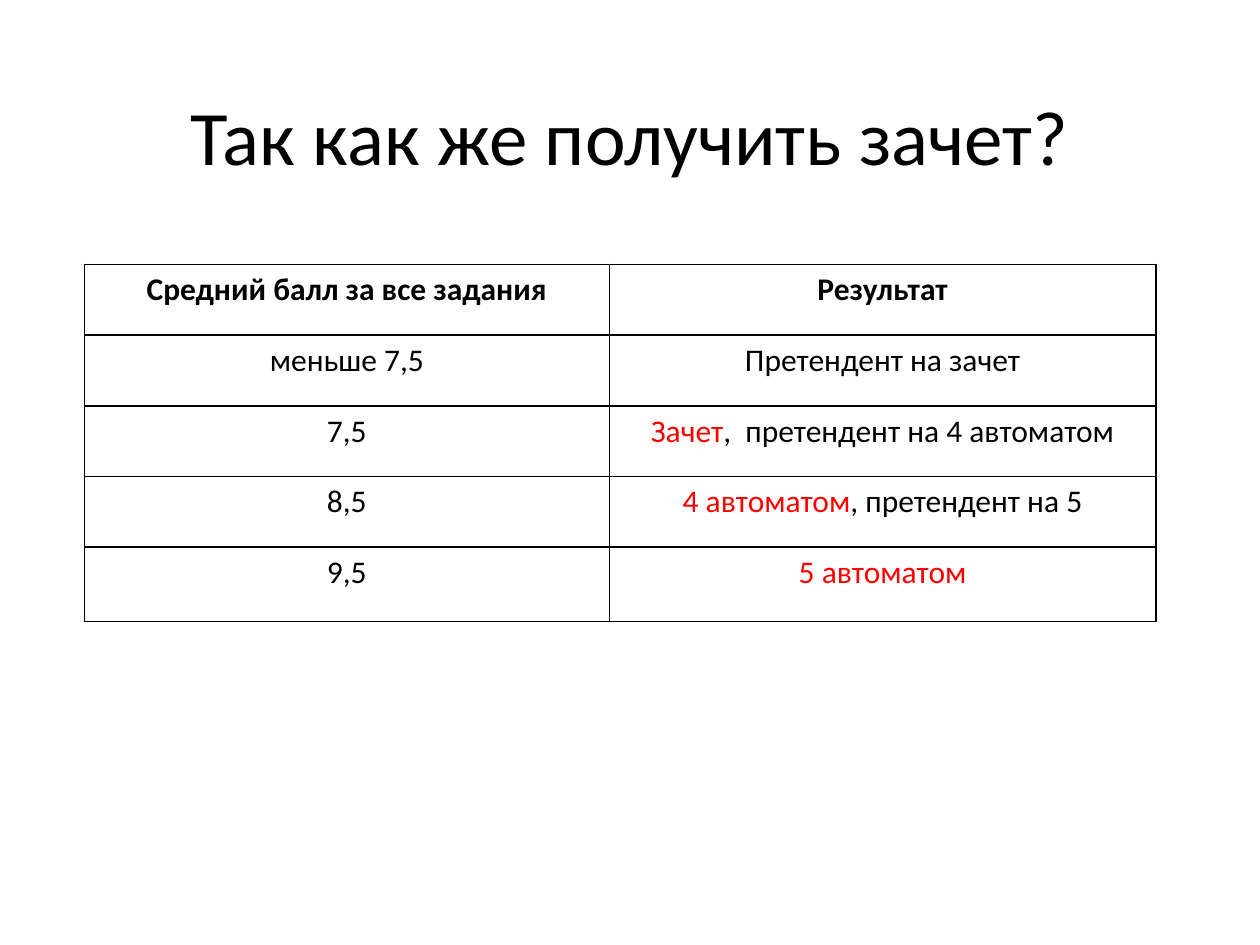
from dataclasses import dataclass

from lxml import etree
from pptx import Presentation
from pptx.dml.color import RGBColor
from pptx.enum.text import MSO_ANCHOR, PP_ALIGN
from pptx.oxml.ns import qn
from pptx.util import Cm, Pt

CENTER = PP_ALIGN.CENTER
MIDDLE = MSO_ANCHOR.MIDDLE
TITLE_ONLY = 5


@dataclass(frozen=True)
class Theme:
    """Fonts, sizes and colours of the slide."""
    font: str = "Calibri"
    title_size: int = 44
    cell_size: int = 18
    border_width: int = 1
    text: str = "000000"
    accent: str = "FF0000"
    back: str = "FFFFFF"


THEME = Theme()
TITLE = "Так как же получить зачет?"
HEADER = ("Средний балл за все задания", "Результат")
GRADES = [
    ("меньше 7,5", "", "Претендент на зачет"),
    ("7,5", "Зачет", ",  претендент на 4 автоматом"),
    ("8,5", "4 автоматом", ", претендент на 5"),
    ("9,5", "5 автоматом", ""),
]
COL_SHARES = (0.49, 0.51)
ROW_SHARES = (0.198, 0.198, 0.198, 0.198, 0.208)


def style_paragraph(p, size, bold=False):
    """Centre a paragraph and set its font."""
    p.alignment = CENTER
    p.font.name = THEME.font
    p.font.size = Pt(size)
    p.font.bold = bold
    p.font.color.rgb = RGBColor.from_string(THEME.text)


def add_borders(cell):
    """Draw a thin line on all four sides of a cell."""
    tcPr = cell._tc.get_or_add_tcPr()
    for i, side in enumerate(("a:lnL", "a:lnR", "a:lnT", "a:lnB")):
        ln = etree.Element(qn(side), w=str(Pt(THEME.border_width)))
        fill = etree.SubElement(ln, qn("a:solidFill"))
        etree.SubElement(fill, qn("a:srgbClr"), val=THEME.text)
        tcPr.insert(i, ln)


def fill_cell(cell, text, accent="", bold=False):
    """Write an optional accented lead and the text into a bordered cell."""
    cell.fill.solid()
    cell.fill.fore_color.rgb = RGBColor.from_string(THEME.back)
    add_borders(cell)
    p = cell.text_frame.paragraphs[0]
    style_paragraph(p, THEME.cell_size, bold)
    for part, color in ((accent, THEME.accent), (text, THEME.text)):
        if part:
            r = p.add_run()
            r.text = part
            r.font.bold = bold
            r.font.color.rgb = RGBColor.from_string(color)


def place_title(s, left, top, width, height):
    """Place the slide title in the given box."""
    sp = s.shapes.title
    sp.left, sp.top, sp.width, sp.height = left, top, width, height
    tf = sp.text_frame
    tf.text = TITLE
    tf.vertical_anchor = MIDDLE
    style_paragraph(tf.paragraphs[0], THEME.title_size)


def place_grades(s, left, top, width, height):
    """Place the table of averages and results in the given box."""
    table = s.shapes.add_table(
        len(GRADES) + 1, len(HEADER), left, top, width, height).table
    for col, share in zip(table.columns, COL_SHARES):
        col.width = int(width * share)
    for row, share in zip(table.rows, ROW_SHARES):
        row.height = int(height * share)
    for i, text in enumerate(HEADER):
        fill_cell(table.cell(0, i), text, bold=True)
    for i, (average, earned, pending) in enumerate(GRADES, 1):
        fill_cell(table.cell(i, 0), average)
        fill_cell(table.cell(i, 1), pending, earned)


def main():
    """Build and save the presentation."""
    prs = Presentation()
    prs.slide_width, prs.slide_height = Cm(25.4), Cm(19.05)
    s = prs.slides.add_slide(prs.slide_layouts[TITLE_ONLY])
    place_title(s, Cm(1.9), Cm(1.32), Cm(21.6), Cm(2.8))
    place_grades(s, Cm(1.7), Cm(5.33), Cm(21.6), Cm(7.2))
    prs.save("out.pptx")


if __name__ == "__main__":
    main()
